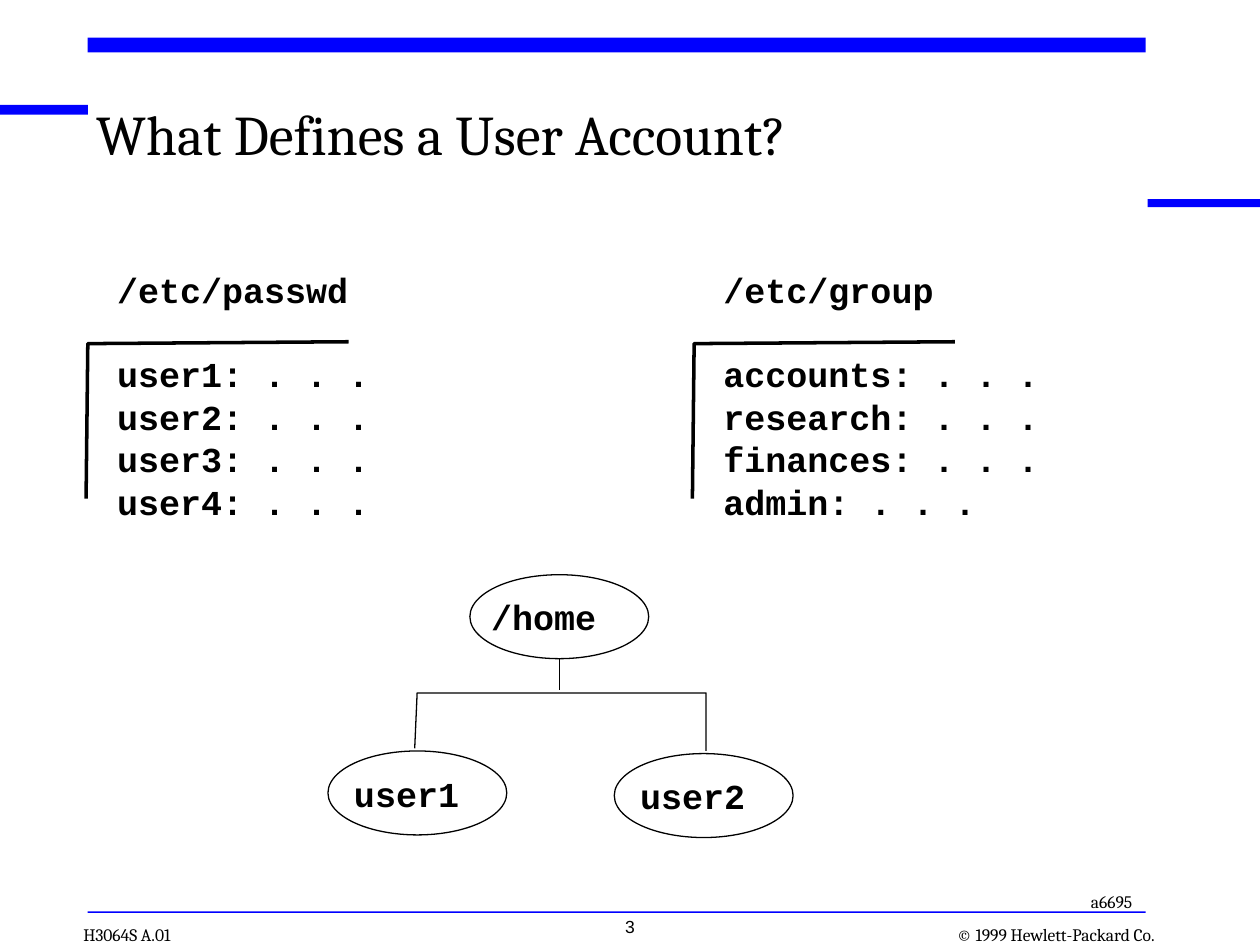
import pptx
import pptx.util
import pptx.dml.color
import pptx.enum.shapes
import pptx.enum.text
import pptx.oxml

Pt = pptx.util.Pt
Shapes = pptx.enum.shapes.MSO_SHAPE
Align = pptx.enum.text.PP_ALIGN
Anchor = pptx.enum.text.MSO_ANCHOR
BLACK = "000000"
BLUE = "0000FF"
WHITE = "FFFFFF"
MONO_LEADING = 24.2
MONO_TOP_INSET = 3.3


def color(value):
    return pptx.dml.color.RGBColor.from_string(value)


def set_insets(text_frame, left, top, right, bottom):
    text_frame.margin_left, text_frame.margin_top = Pt(left), Pt(top)
    text_frame.margin_right, text_frame.margin_bottom = Pt(right), Pt(bottom)


def format_runs(paragraph, font_name, size, bold=False):
    for run in paragraph.runs:
        run.font.name = font_name
        run.font.size = Pt(size)
        run.font.bold = bold
        run.font.color.rgb = color(BLACK)


def add_text(slide, box, lines, font_name, size, bold=False, align=Align.LEFT,
             insets=(7.2, 3.6, 7.2, 3.6), anchor=Anchor.TOP):
    shape = slide.shapes.add_textbox(*map(Pt, box))
    text_frame = shape.text_frame
    text_frame.word_wrap = False
    text_frame.vertical_anchor = anchor
    set_insets(text_frame, *insets)
    text_frame.text = "\n".join(lines)
    for paragraph in text_frame.paragraphs:
        paragraph.alignment = align
        format_runs(paragraph, font_name, size, bold)
    return text_frame


def add_code(slide, box, lines):
    text_frame = add_text(slide, box, lines, "Courier New", 20, bold=True,
                          insets=(7.2, MONO_TOP_INSET, 0, 0))
    text_frame.word_wrap = True
    for paragraph in text_frame.paragraphs:
        paragraph.line_spacing = Pt(MONO_LEADING)
    return text_frame


def add_bar(slide, box):
    bar = slide.shapes.add_shape(Shapes.RECTANGLE, *map(Pt, box))
    bar.shadow.inherit = False
    bar.fill.solid()
    bar.fill.fore_color.rgb = color(BLUE)
    bar.line.fill.background()


def add_open_path(slide, points, width):
    start, *others = [(Pt(x), Pt(y)) for x, y in points]
    builder = slide.shapes.build_freeform(*start)
    builder.add_line_segments(others, close=False)
    shape = builder.convert_to_shape()
    shape.shadow.inherit = False
    shape.fill.background()
    shape.line.color.rgb = color(BLACK)
    shape.line.width = Pt(width)


def add_stem(slide, x, top, bottom):
    stem = slide.shapes.add_connector(
        pptx.enum.shapes.MSO_CONNECTOR.STRAIGHT, Pt(x), Pt(top), Pt(x), Pt(bottom))
    stem.line.color.rgb = color(BLACK)
    stem.line.width = Pt(0.75)
    properties = stem._element.spPr
    properties.append(properties.makeelement(pptx.oxml.ns.qn("a:effectLst"), {}))


def add_node(slide, box, label, label_offset):
    left, top, width, height = box
    ellipse = slide.shapes.add_shape(Shapes.OVAL, *map(Pt, box))
    ellipse.shadow.inherit = False
    ellipse.fill.solid()
    ellipse.fill.fore_color.rgb = color(WHITE)
    ellipse.line.color.rgb = color(BLACK)
    ellipse.line.width = Pt(0.75)
    add_code(slide, (left + label_offset, top + 8.6, 74.4, 31.7), [label])


def add_frame(slide, box):
    left, top, width, height = box
    right = left + width
    add_bar(slide, (0, top + 38.5, left + 0.3, 5.5))
    add_bar(slide, (left, top, width, 8.5))
    add_bar(slide, (right + 1.2, top + 92.3, 720 - right - 1.2, 4.5))
    add_bar(slide, (left, top + height - 0.9, width, 0.9))


def add_title(slide, box, text):
    title = slide.shapes.title
    title.left, title.top, title.width, title.height = map(Pt, box)
    text_frame = title.text_frame
    text_frame.text = text
    text_frame.word_wrap = True
    text_frame.auto_size = pptx.enum.text.MSO_AUTO_SIZE.NONE
    text_frame.vertical_anchor = Anchor.TOP
    set_insets(text_frame, 0, 0, 0, 0)
    paragraph = text_frame.paragraphs[0]
    paragraph.alignment = Align.LEFT
    paragraph.line_spacing = 0.85
    format_runs(paragraph, "Cambria", 32)


def add_file(slide, box, name, entries):
    left, top, width, height = box
    text_frame = add_code(slide, (left + 10.6, top, width, height), [name, *entries])
    text_frame.paragraphs[1].space_before = Pt(MONO_LEADING)
    corner = (left + 1, top + 46.6)
    add_open_path(slide, [(left, top + 135.2), corner, (left + 150, top + 45.5)], 2)


def add_home_tree(slide, box):
    left, top, width, height = box
    node_width, node_height = 102.2, 48
    center = left + 132.2
    branch = top + 67.6
    right = left + width - node_width
    first_top = top + height - node_height - 1.5
    second_top = top + height - node_height
    add_stem(slide, center, top + 45, branch - 1.5)
    add_open_path(slide, [(left + 49.6, first_top - 1.5), (left + 51, branch),
                          (right + 52.5, branch), (right + 52.5, second_top - 1.5)], 0.75)
    add_node(slide, (center - node_width / 2, top, node_width, node_height), "/home", 5)
    add_node(slide, (left, first_top, node_width, node_height), "user1", 7.8)
    add_node(slide, (right, second_top, node_width, node_height), "user2", 7.7)


def add_footer(slide, box):
    left, top, width, height = box
    flush = (0, 0, 0, 0)
    add_text(slide, (left, top, 59, height), ["H3064S A.01"], "Cambria", 10,
             insets=flush, anchor=Anchor.BOTTOM)
    add_text(slide, (left + width - 131, top, 131, height),
             ["© 1999 Hewlett-Packard Co."], "Cambria", 10, align=Align.RIGHT,
             insets=flush, anchor=Anchor.BOTTOM)
    add_text(slide, (285, top - 8, 150, 24), ["3"], "Arial", 10, align=Align.CENTER)
    add_text(slide, (616.3, top - 22.4, 42.5, 19.4), ["a6695"], "Cambria", 10)


def main():
    presentation = pptx.Presentation()
    presentation.slide_width, presentation.slide_height = Pt(720), Pt(540)
    slide = presentation.slides.add_slide(presentation.slide_layouts[5])
    add_frame(slide, (50, 21.5, 604.6, 500.2))
    add_title(slide, (55, 62.6, 581, 48.2), "What Defines a User Account?")
    users = [f"user{number}: . . ." for number in range(1, 5)]
    groups = [f"{group}: . . ." for group in ("accounts", "research", "finances", "admin")]
    add_file(slide, (49.2, 149.8, 158.4, 151.2), "/etc/passwd", users)
    add_file(slide, (395.7, 149.8, 194.4, 151.2), "/etc/group", groups)
    add_home_tree(slide, (187.4, 328.4, 265.8, 150.2))
    add_footer(slide, (47.6, 527.8, 612.2, 12.2))
    presentation.save("out.pptx")


if __name__ == "__main__":
    main()
